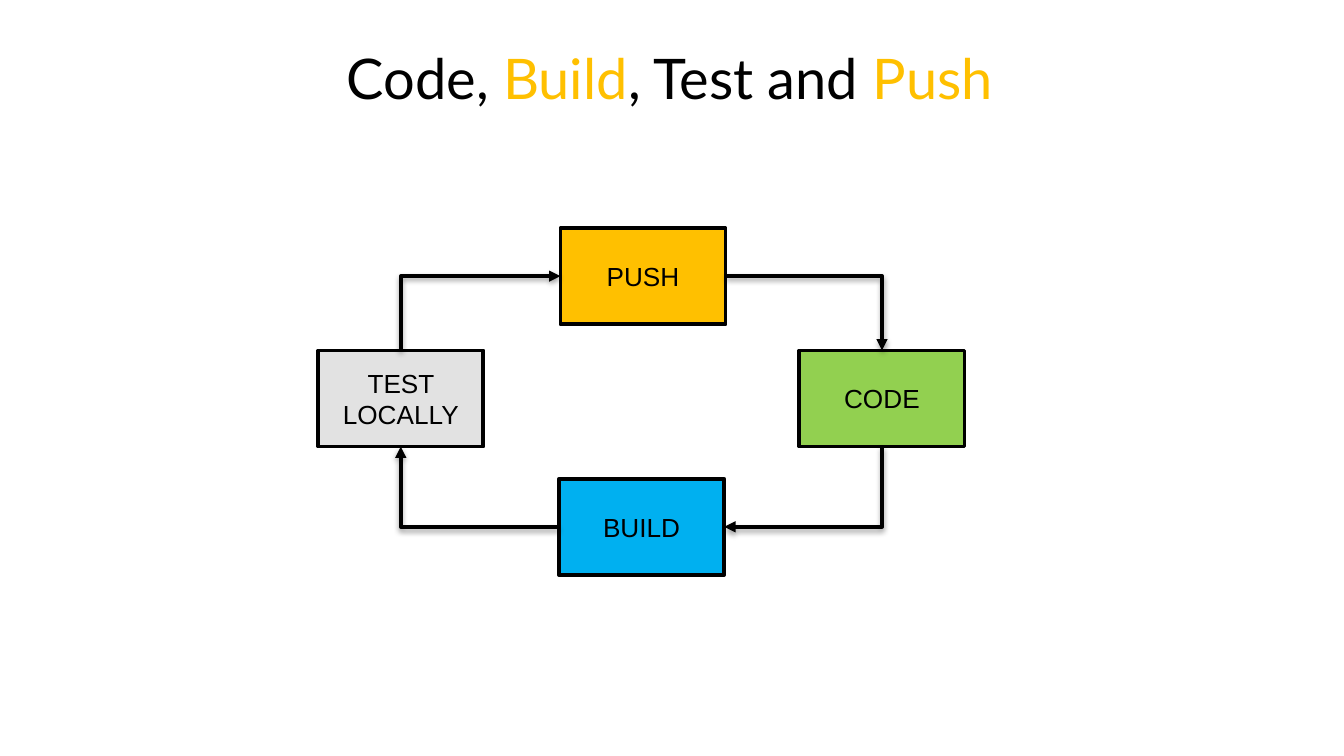
from lxml import etree
from pptx import Presentation
from pptx.dml.color import RGBColor
from pptx.enum import shapes, text
from pptx.oxml import ns
from pptx.util import Pt

BLACK = RGBColor(0x00, 0x00, 0x00)
AMBER = RGBColor(0xFF, 0xC0, 0x00)
BLUE = RGBColor(0x00, 0xB0, 0xF0)
GREEN = RGBColor(0x92, 0xD0, 0x50)
GREY = RGBColor(0xE2, 0xE2, 0xE2)

TOP, LEFT, BOTTOM, RIGHT = range(4)


def add_element(parent, tag, **attrs):
    el = etree.SubElement(parent, ns.qn(tag))
    for name, value in attrs.items():
        el.set(name, str(value))
    return el


class CycleSlide:
    title_font, title_size = "Lato", Pt(30)
    label_font, label_size = "Arial", Pt(14)
    line_width = Pt(2)
    box_width, box_height = Pt(88.5), Pt(51.5)

    def __init__(self, prs):
        self.s = prs.slides.add_slide(prs.slide_layouts[5])

    def run(self, p, words, font, size, color):
        r = p.add_run()
        r.text = words
        r.font.name, r.font.size = font, size
        r.font.color.rgb = color

    def title(self, x, y, w, h, runs):
        sp = self.s.shapes.title
        sp.left, sp.top, sp.width, sp.height = Pt(x), Pt(y), Pt(w), Pt(h)
        tf = sp.text_frame
        tf.word_wrap = True
        tf.auto_size = text.MSO_AUTO_SIZE.SHAPE_TO_FIT_TEXT
        tf.vertical_anchor = text.MSO_ANCHOR.TOP
        p = tf.paragraphs[0]
        p.alignment = text.PP_ALIGN.LEFT
        for words, color in runs:
            self.run(p, words, self.title_font, self.title_size, color)

    def box(self, x, y, label, fill):
        sp = self.s.shapes.add_shape(shapes.MSO_SHAPE.RECTANGLE, Pt(x), Pt(y),
                                     self.box_width, self.box_height)
        sp.shadow.inherit = False
        sp.fill.solid()
        sp.fill.fore_color.rgb = fill
        sp.line.color.rgb = BLACK
        sp.line.width = self.line_width
        tf = sp.text_frame
        tf.word_wrap = True
        tf.vertical_anchor = text.MSO_ANCHOR.MIDDLE
        p = tf.paragraphs[0]
        p.alignment = text.PP_ALIGN.CENTER
        self.run(p, label, self.label_font, self.label_size, BLACK)
        return sp

    def arrow(self, start, start_side, end, end_side):
        """Join two boxes with a one-bend arrow that leaves start_side."""
        cx = self.s.shapes.add_connector(shapes.MSO_CONNECTOR.ELBOW, 0, 0, 0, 0)
        cx.begin_connect(start, start_side)
        cx.end_connect(end, end_side)
        sp_pr = cx._element.spPr
        sp_pr.find(ns.qn("a:prstGeom")).set("prst", "bentConnector2")
        if start_side in (TOP, BOTTOM):
            self.turn_upright(cx)
        cx.line.color.rgb = BLACK
        cx.line.width = self.line_width
        add_element(sp_pr.find(ns.qn("a:ln")), "a:tailEnd", type="triangle")
        self.shadow(sp_pr)

    def turn_upright(self, cx):
        """Rotate a one-bend connector so that its first leg is vertical."""
        dx, dy = cx.end_x - cx.begin_x, cx.end_y - cx.begin_y
        mid_x, mid_y = cx.begin_x + dx // 2, cx.begin_y + dy // 2
        cx.width, cx.height = abs(dy), abs(dx)
        cx.left, cx.top = mid_x - cx.width // 2, mid_y - cx.height // 2
        xfrm = cx._element.spPr.find(ns.qn("a:xfrm"))
        xfrm.set("rot", str(90 * 60000))
        xfrm.set("flipH", str(int(dy < 0)))
        xfrm.set("flipV", str(int(dx > 0)))

    def shadow(self, sp_pr):
        effects = add_element(sp_pr, "a:effectLst")
        outer = add_element(effects, "a:outerShdw", blurRad=Pt(3.1), dist=Pt(1.6),
                            dir=90 * 60000, rotWithShape=0)
        color = add_element(outer, "a:srgbClr", val=BLACK)
        add_element(color, "a:alpha", val=38000)


def main():
    prs = Presentation()
    prs.slide_width, prs.slide_height = Pt(720), Pt(405)
    cycle = CycleSlide(prs)
    cycle.title(178.5, 19.5, 477.5, 44, [
        ("Code, ", BLACK), ("Build", AMBER), (", Test and ", BLACK), ("Push", AMBER)])

    push = cycle.box(300.25, 122.25, "PUSH", AMBER)
    build = cycle.box(299.5, 256.5, "BUILD", BLUE)
    code = cycle.box(428.25, 187.75, "CODE", GREEN)
    test = cycle.box(170.5, 187.75, "TEST LOCALLY", GREY)

    cycle.arrow(test, TOP, push, LEFT)
    cycle.arrow(build, LEFT, test, BOTTOM)
    cycle.arrow(push, RIGHT, code, TOP)
    cycle.arrow(code, BOTTOM, build, RIGHT)
    prs.save("out.pptx")


if __name__ == "__main__":
    main()
